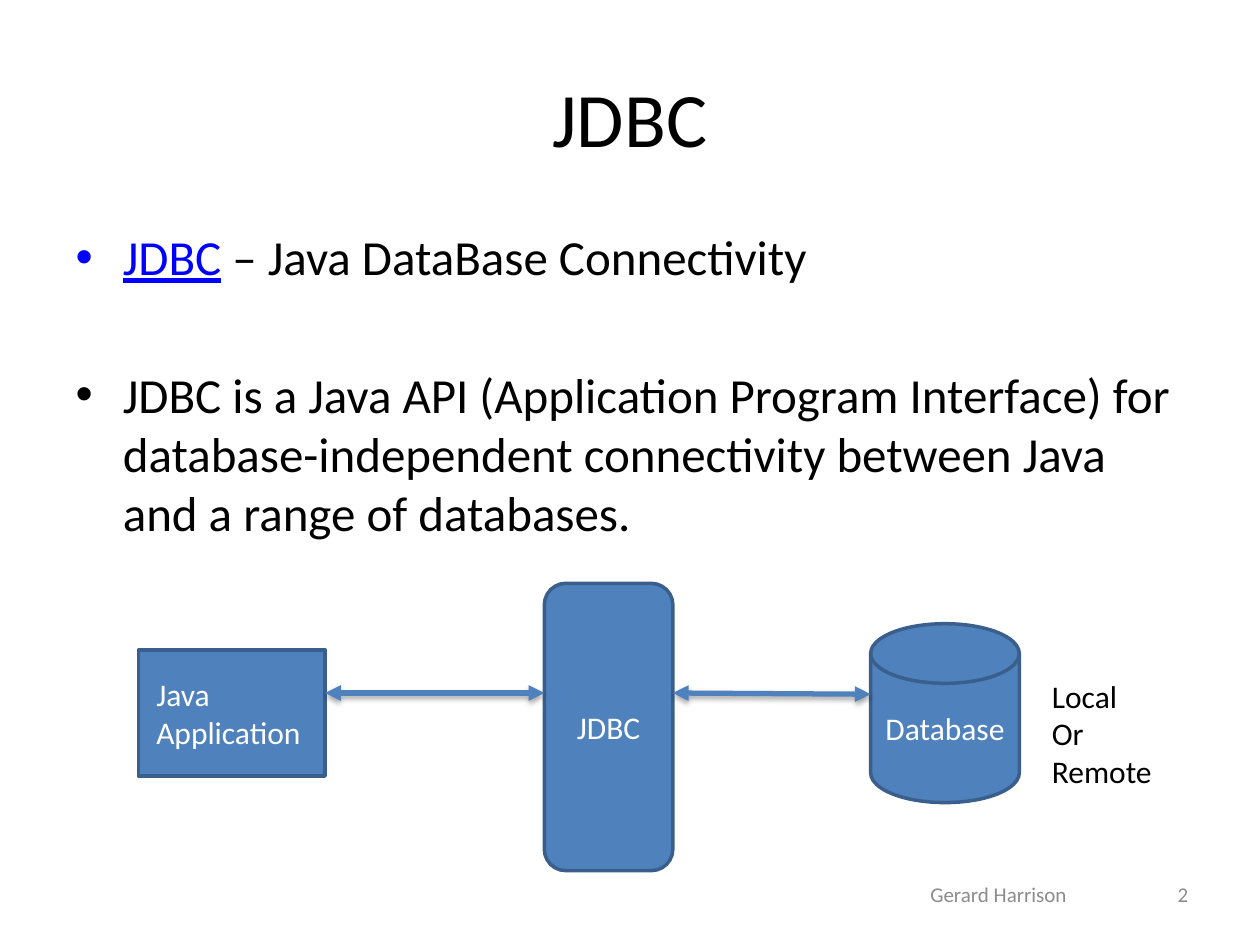
from lxml import etree
from pptx import Presentation
from pptx import util as u
from pptx.dml.color import RGBColor
from pptx.enum import shapes, text
from pptx.oxml import ns

HUES = {"ink": "000000", "link": "0000FF", "fill": "4F81BD",
        "edge": "3A5F8C", "pale": "FFFFFF", "grey": "8C8C8C"}
CELL = u.Inches(0.1)  # the slide is a grid of 100 columns by 75 rows
FONT = "Calibri"
LEFT, MID, RIGHT = (text.PP_ALIGN.LEFT, text.PP_ALIGN.CENTER,
                    text.PP_ALIGN.RIGHT)


def hue(name):
    """Return a colour from the palette."""
    return RGBColor.from_string(HUES[name])


def cells(*nums):
    """Turn grid cells into lengths."""
    return [round(n * CELL) for n in nums]


def inside(box, col, row, wide, high):
    """Return lengths for a part placed relative to a box."""
    return cells(box[0] + col, box[1] + row, wide, high)


def move(shape, box):
    """Set a placeholder on the grid."""
    shape.left, shape.top, shape.width, shape.height = cells(*box)


def style(para, size, tone, align=None):
    """Format a whole paragraph."""
    para.font.size, para.font.name = u.Pt(size), FONT
    para.font.color.rgb = hue(tone)
    if align is not None:
        para.alignment = align


def write(shape, words, size, tone, align, anchor=text.MSO_ANCHOR.MIDDLE):
    """Fill a shape with uniform text."""
    frame = shape.text_frame
    frame.word_wrap, frame.vertical_anchor = True, anchor
    frame.text = words
    for para in frame.paragraphs:
        style(para, size, tone, align)


def head(slide, box):
    """Place the title."""
    title = slide.shapes.title
    move(title, box)
    write(title, "JDBC", 44, "ink", MID)


def body(slide, box):
    """Place the bullet list."""
    hold = slide.placeholders[1]
    move(hold, box)
    frame = hold.text_frame
    frame.auto_size = text.MSO_AUTO_SIZE.NONE
    first, second = frame.paragraphs[0], frame.add_paragraph()
    term = first.add_run()
    term.text = "JDBC"
    term.font.color.rgb, term.font.underline = hue("link"), True
    first.add_run().text = " – Java DataBase Connectivity"
    second.text = ("JDBC is a Java API (Application Program Interface) for "
                   "database-independent connectivity between Java and a "
                   "range of databases.")
    second.space_before = u.Pt(45)
    for para in frame.paragraphs:
        style(para, 28, "ink")


def node(slide, kind, place, words, align=MID):
    """Draw one labelled block of the diagram."""
    shape = slide.shapes.add_shape(kind, *place)
    shape.shadow.inherit = False
    shape.fill.solid()
    shape.fill.fore_color.rgb = hue("fill")
    shape.line.color.rgb, shape.line.width = hue("edge"), u.Pt(2)
    write(shape, words, 18, "pale", align)
    return shape


def arrow(slide, start, end):
    """Draw a double-headed arrow with a soft shadow."""
    line = slide.shapes.add_connector(
        shapes.MSO_CONNECTOR.STRAIGHT, *start, *end)
    line.line.color.rgb, line.line.width = hue("fill"), u.Pt(3)
    stroke = line.line._get_or_add_ln()
    for tip in ("a:headEnd", "a:tailEnd"):
        etree.SubElement(stroke, ns.qn(tip), type="triangle")
    props = line._element.spPr
    effect = etree.SubElement(props, ns.qn("a:effectLst"))
    shade = etree.SubElement(
        effect, ns.qn("a:outerShdw"), blurRad=str(u.Pt(3.1)),
        dist=str(u.Pt(1.8)), dir="5400000", rotWithShape="0")
    tone = etree.SubElement(shade, ns.qn("a:srgbClr"), val=HUES["ink"])
    etree.SubElement(tone, ns.qn("a:alpha"), val="35000")


def flow(slide, box):
    """Draw the path from application to database."""
    kinds = shapes.MSO_SHAPE
    base = node(slide, kinds.FLOWCHART_MAGNETIC_DISK,
                inside(box, 58.1, 3.2, 11.8, 14.2), "Database")
    app = node(slide, kinds.RECTANGLE, inside(box, 0, 5.3, 14.8, 10),
               "Java Application", LEFT)
    app.text_frame.margin_left = u.Inches(0.14)
    app.text_frame.margin_right = 0
    hub = node(slide, kinds.ROUNDED_RECTANGLE,
               inside(box, 32.2, 0, 10.2, 22.8), "JDBC")
    level = cells(box[1] + 8.7)[0]
    for one, two, drop in ((app, hub, 0), (hub, base, 0.1)):
        arrow(slide, (one.left + one.width, level),
              (two.left, level + cells(drop)[0]))
    note = slide.shapes.add_textbox(*inside(box, 71.5, 6.9, 11, 10.1))
    write(note, "Local\nOr\nRemote", 18, "ink", LEFT, text.MSO_ANCHOR.TOP)


def foot(slide, box):
    """Place the author and the page number."""
    for words, col, wide, align in (("Gerard Harrison", 0, 31.7, MID),
                                    ("2", 8.6, 23.3, RIGHT)):
        label = slide.shapes.add_textbox(*inside(box, col, 0, wide, box[3]))
        write(label, words, 12, "grey", align)


def main():
    """Build and save the slide."""
    deck = Presentation()
    deck.slide_width, deck.slide_height = cells(100, 75)
    slide = deck.slides.add_slide(deck.slide_layouts[1])
    head(slide, (5, 3, 90, 12.5))
    body(slide, (5, 17.5, 90, 49.5))
    foot(slide, (63.4, 69, 31.9, 4))
    flow(slide, (11, 46.3, 82.5, 22.8))
    deck.save("out.pptx")


main()
